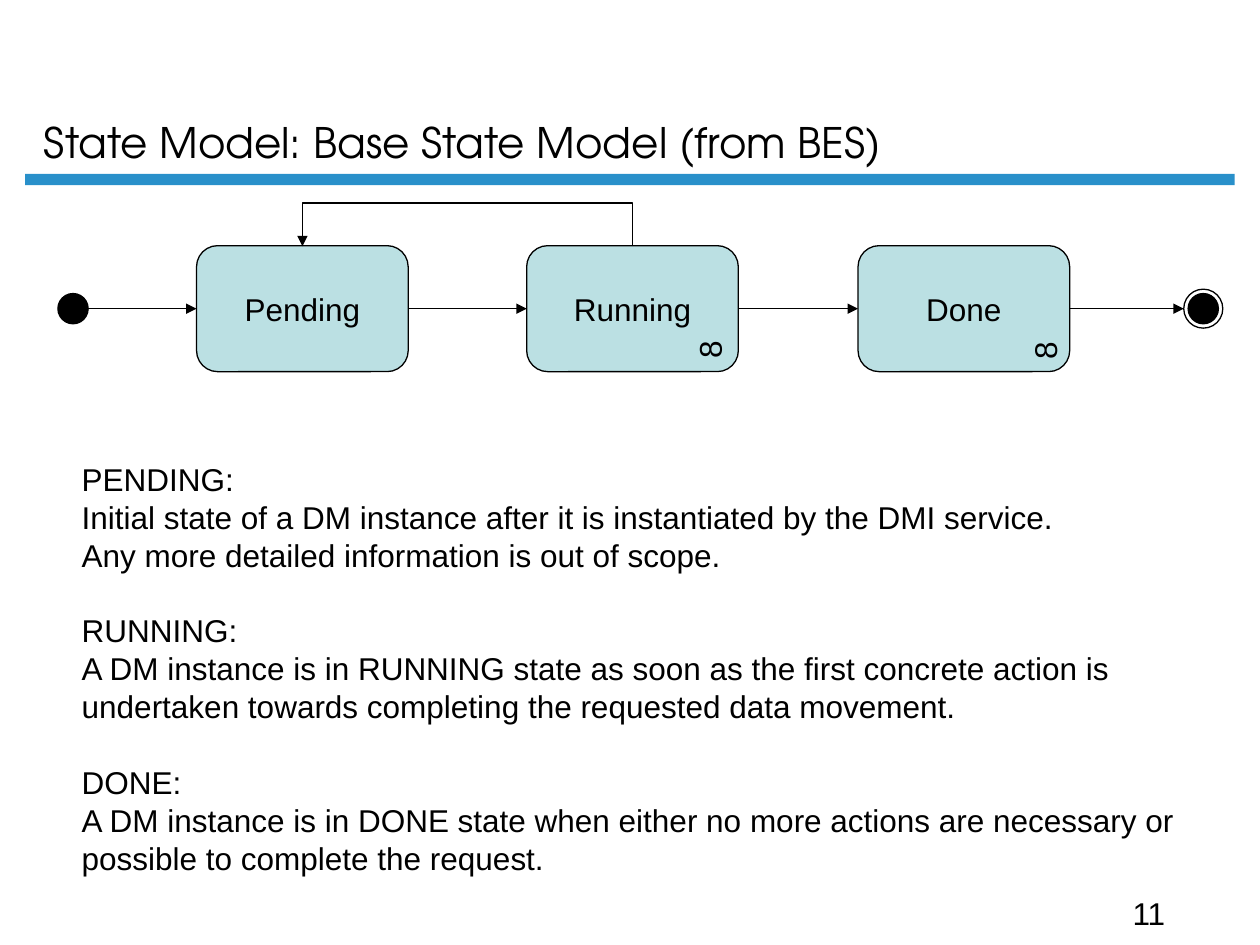
from dataclasses import dataclass

from lxml.etree import SubElement
from pptx import Presentation
from pptx.dml.color import RGBColor
from pptx.enum.shapes import MSO_CONNECTOR, MSO_SHAPE
from pptx.enum.text import MSO_ANCHOR, PP_ALIGN
from pptx.oxml.ns import qn
from pptx.util import Inches, Pt

COLORS = {"ink": "000000", "state": "BBE0E3", "rule": "2990CA"}
BODY_FONT = {"name": "Arial", "size": Pt(18)}
TITLE_FONT = {"name": "TeX Gyre Adventor", "size": Pt(24)}
BODY_LEADING = Pt(21.65)
STATE_TOP, STATE_WIDTH, STATE_HEIGHT = 1.95, 1.68, 1.0
FLOW_Y = STATE_TOP + STATE_HEIGHT / 2
LOOP_RISE = 0.34
LOOP_DEPTH = 0.01


@dataclass(frozen=True)
class State:
    name: str
    left: float
    definition: tuple[str, ...]

    @property
    def center(self) -> float:
        return self.left + STATE_WIDTH / 2

    @property
    def right(self) -> float:
        return self.left + STATE_WIDTH


@dataclass(frozen=True)
class Dot:
    center: float
    diameter: float
    color: str | None


@dataclass(frozen=True)
class Label:
    text: str
    box: tuple[float, float, float, float]
    font: dict
    anchor: MSO_ANCHOR = MSO_ANCHOR.TOP
    rotation: float = 0


STATES = (
    State("Pending", 1.56, (
        "Initial state of a DM instance after it is instantiated by the DMI service.",
        "Any more detailed information is out of scope.",
    )),
    State("Running", 4.18, (
        "A DM instance is in RUNNING state as soon as the first concrete action is",
        "undertaken towards completing the requested data movement.",
    )),
    State("Done", 6.81, (
        "A DM instance is in DONE state when either no more actions are necessary or",
        "possible to complete the request.",
    )),
)
START = Dot(0.58, 0.24, "ink")
END = Dot(9.55, 0.24, "ink")
END_RING = Dot(9.55, 0.31, None)
LABELS = (
    Label("11", (8.89, 7.05, 1.0, 0.4), BODY_FONT),
    Label("State Model: Base State Model (from BES)", (0.25, 0.12, 8.56, 1.25),
          TITLE_FONT, MSO_ANCHOR.BOTTOM),
    Label("8", (5.46, 2.57, 0.34, 0.4), BODY_FONT, rotation=270),
    Label("8", (8.12, 2.58, 0.34, 0.4), BODY_FONT, rotation=270),
)


def rgb(name: str) -> RGBColor:
    return RGBColor.from_string(COLORS[name])


def apply(target, values: dict) -> None:
    for name, value in values.items():
        setattr(target, name, value)


def write(paragraph, text: str, font: dict) -> None:
    run = paragraph.add_run()
    run.text = text
    apply(run.font, font)
    run.font.color.rgb = rgb("ink")


def draw_shape(slide, kind: MSO_SHAPE, box: tuple, fill: str | None, outlined: bool = True):
    shape = slide.shapes.add_shape(kind, *map(Inches, box))
    shape.shadow.inherit = False
    if fill:
        shape.fill.solid()
        shape.fill.fore_color.rgb = rgb(fill)
    else:
        shape.fill.background()
    if outlined:
        shape.line.color.rgb = rgb("ink")
        shape.line.width = Pt(0.75)
    else:
        shape.line.fill.background()
    return shape


def draw_state(slide, state: State) -> None:
    box = (state.left, STATE_TOP, STATE_WIDTH, STATE_HEIGHT)
    shape = draw_shape(slide, MSO_SHAPE.ROUNDED_RECTANGLE, box, "state")
    shape.adjustments[0] = 0.167
    apply(shape.text_frame, {"word_wrap": False, "vertical_anchor": MSO_ANCHOR.MIDDLE})
    paragraph = shape.text_frame.paragraphs[0]
    paragraph.alignment = PP_ALIGN.CENTER
    write(paragraph, state.name, BODY_FONT)


def draw_dot(slide, dot: Dot) -> None:
    radius = dot.diameter / 2
    box = (dot.center - radius, FLOW_Y - radius, dot.diameter, dot.diameter)
    draw_shape(slide, MSO_SHAPE.OVAL, box, dot.color)


def draw_arrow(slide, kind: MSO_CONNECTOR, x1: float, y1: float, x2: float, y2: float):
    arrow = slide.shapes.add_connector(kind, *map(Inches, (x1, y1, x2, y2)))
    arrow.line.color.rgb = rgb("ink")
    arrow.line.width = Pt(0.75)
    SubElement(arrow.line._get_or_add_ln(), qn("a:tailEnd"), type="triangle")
    SubElement(arrow._element.spPr, qn("a:effectLst"))
    return arrow


def draw_loop(slide, source: State, target: State) -> None:
    middle = (source.center + target.center) / 2
    half_span = (source.center - target.center) / 2
    arrow = draw_arrow(slide, MSO_CONNECTOR.ELBOW,
                       middle - LOOP_DEPTH / 2, STATE_TOP - half_span,
                       middle + LOOP_DEPTH / 2, STATE_TOP + half_span)
    properties = arrow._element.spPr
    properties.find(qn("a:xfrm")).set("rot", "5400000")
    adjustments = properties.find(qn("a:prstGeom")).find(qn("a:avLst"))
    bend = round(-LOOP_RISE / LOOP_DEPTH * 100000)
    SubElement(adjustments, qn("a:gd"), name="adj1", fmla=f"val {bend}")


def add_text_frame(slide, box: tuple, anchor: MSO_ANCHOR = MSO_ANCHOR.TOP, rotation: float = 0):
    text_box = slide.shapes.add_textbox(*map(Inches, box))
    text_box.rotation = rotation
    apply(text_box.text_frame, {"word_wrap": True, "vertical_anchor": anchor})
    return text_box.text_frame


def draw_label(slide, label: Label) -> None:
    frame = add_text_frame(slide, label.box, label.anchor, label.rotation)
    write(frame.paragraphs[0], label.text, label.font)


def draw_definitions(slide) -> None:
    frame = add_text_frame(slide, (0.55, 3.6, 8.95, 3.7))
    for state in STATES:
        is_first = state is STATES[0]
        heading = frame.paragraphs[0] if is_first else frame.add_paragraph()
        heading.space_before = Pt(0) if is_first else BODY_LEADING
        heading.line_spacing = BODY_LEADING
        write(heading, f"{state.name.upper()}:", BODY_FONT)
        for line in state.definition:
            paragraph = frame.add_paragraph()
            paragraph.line_spacing = BODY_LEADING
            write(paragraph, line, BODY_FONT)


def main() -> None:
    deck = Presentation()
    apply(deck, {"slide_width": Inches(10), "slide_height": Inches(7.5)})
    slide = deck.slides.add_slide(deck.slide_layouts[6])
    draw_shape(slide, MSO_SHAPE.RECTANGLE, (0.2, 1.38, 9.6, 0.09), "rule", outlined=False)
    for state in STATES:
        draw_state(slide, state)
    for dot in (START, END, END_RING):
        draw_dot(slide, dot)
    exits = [START.center + START.diameter / 2, *(state.right for state in STATES)]
    entries = [*(state.left for state in STATES), END_RING.center - END_RING.diameter / 2]
    for leave, enter in zip(exits, entries):
        draw_arrow(slide, MSO_CONNECTOR.STRAIGHT, leave, FLOW_Y, enter, FLOW_Y)
    pending, running, _ = STATES
    draw_loop(slide, running, pending)
    draw_definitions(slide)
    for label in LABELS:
        draw_label(slide, label)
    deck.save("out.pptx")


if __name__ == "__main__":
    main()
